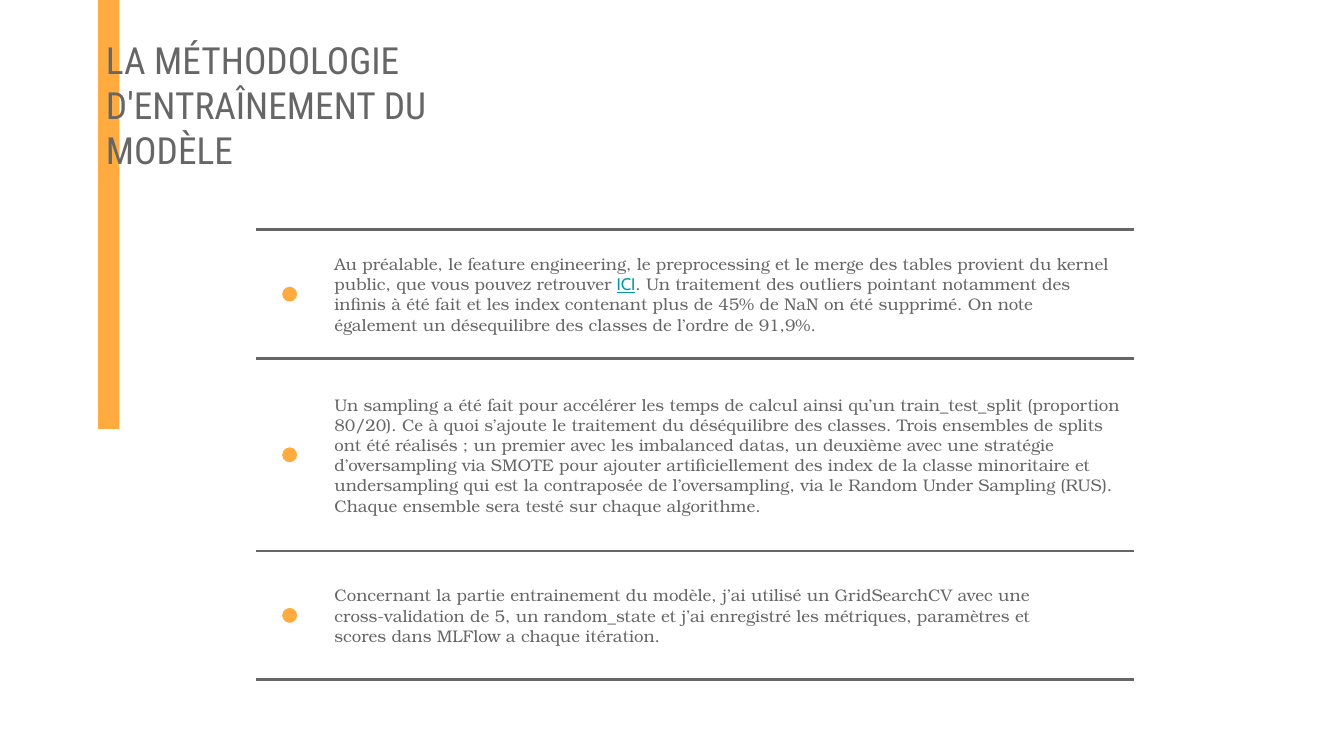
from itertools import pairwise

from lxml.etree import SubElement
from pptx import Presentation
from pptx.dml.color import RGBColor
from pptx.enum.shapes import MSO_CONNECTOR, MSO_SHAPE
from pptx.enum.text import MSO_ANCHOR
from pptx.oxml.ns import qn
from pptx.util import Pt

GREY = RGBColor(0x66, 0x66, 0x66)
ORANGE = RGBColor(0xFF, 0xAB, 0x40)
TEAL = RGBColor(0x00, 0x97, 0xA7)

TITLE = "LA MÉTHODOLOGIE D'ENTRAÎNEMENT DU MODÈLE"
LINK_WORD = "ICI"

# Each step: width of its text, then its pieces of text
STEPS = [
    (428.4, [
        "Au préalable, le feature engineering, le preprocessing et le merge des tables "
        "provient du kernel public, que vous pouvez retrouver ",
        LINK_WORD,
        ". Un traitement des outliers pointant notamment des infinis à été fait et les "
        "index contenant plus de 45% de NaN on été supprimé. On note également un "
        "désequilibre des classes de l’ordre de 91,9%.",
    ]),
    (435.6, [
        "Un sampling a été fait pour accélérer les temps de calcul ainsi qu’un "
        "train_test_split (proportion 80/20). Ce à quoi s’ajoute le traitement du "
        "déséquilibre des classes. Trois ensembles de splits ont été réalisés ; un "
        "premier avec les imbalanced datas, un deuxième avec une stratégie "
        "d’oversampling via SMOTE pour ajouter artificiellement des index de la classe "
        "minoritaire et undersampling qui est la contraposée de l’oversampling, via le "
        "Random Under Sampling (RUS). Chaque ensemble sera testé sur chaque algorithme.",
    ]),
    (395.3, [
        "Concernant la partie entrainement du modèle, j’ai utilisé un GridSearchCV avec "
        "une cross-validation de 5, un random_state et j’ai enregistré les métriques, "
        "paramètres et scores dans MLFlow a chaque itération.",
    ]),
]

RULE_TOPS = [123, 192.2, 295.2, 364.2]
RULE_LEFT, RULE_RIGHT = 137, 607.7
DOT_LEFT, DOT_SIZE = 151.2, 8
TEXT_LEFT, ROW_GAP = 172.1, 9

deck = Presentation()
deck.slide_width, deck.slide_height = Pt(720), Pt(405)
page = deck.slides.add_slide(deck.slide_layouts[6])


def add_solid(kind, left, top, width, height):
    shape = page.shapes.add_shape(kind, Pt(left), Pt(top), Pt(width), Pt(height))
    shape.shadow.inherit = False
    shape.fill.solid()
    shape.fill.fore_color.rgb = ORANGE
    shape.line.fill.background()


def add_text(pieces, left, top, width, height, anchor, font, size):
    box = page.shapes.add_textbox(Pt(left), Pt(top), Pt(width), Pt(height))
    frame = box.text_frame
    frame.word_wrap = True
    frame.vertical_anchor = anchor
    frame.margin_left = frame.margin_right = Pt(7.2)
    frame.margin_top = frame.margin_bottom = Pt(7.2)
    para = frame.paragraphs[0]
    para.font.size = Pt(size)
    for piece in pieces:
        span = para.add_run()
        span.text = piece
        is_link = piece == LINK_WORD
        span.font.name = "Cabin" if is_link else font
        span.font.color.rgb = TEAL if is_link else GREY
        if is_link:
            span.font.underline = True


# Side bar and title
add_solid(MSO_SHAPE.RECTANGLE, 52.6, 0, 11.3, 229.8)
add_text([TITLE], 49.7, 31.7, 254, 67.7, MSO_ANCHOR.BOTTOM, "Roboto Condensed", 20)

# Rules around the steps
for top in RULE_TOPS:
    rule = page.shapes.add_connector(
        MSO_CONNECTOR.STRAIGHT, Pt(RULE_LEFT), Pt(top), Pt(RULE_RIGHT), Pt(top))
    rule.line.color.rgb = GREY
    rule.line.width = Pt(1.5)
    SubElement(rule.element.spPr, qn("a:effectLst"))

# Dot and text, centred between two rules
for (width, pieces), (top, bottom) in zip(STEPS, pairwise(RULE_TOPS)):
    add_solid(MSO_SHAPE.OVAL, DOT_LEFT, (top + bottom - DOT_SIZE) / 2, DOT_SIZE, DOT_SIZE)
    add_text(pieces, TEXT_LEFT, top + ROW_GAP, width, bottom - top - 2 * ROW_GAP,
             MSO_ANCHOR.MIDDLE, "TeX Gyre Bonum", 9)

deck.save("out.pptx")
